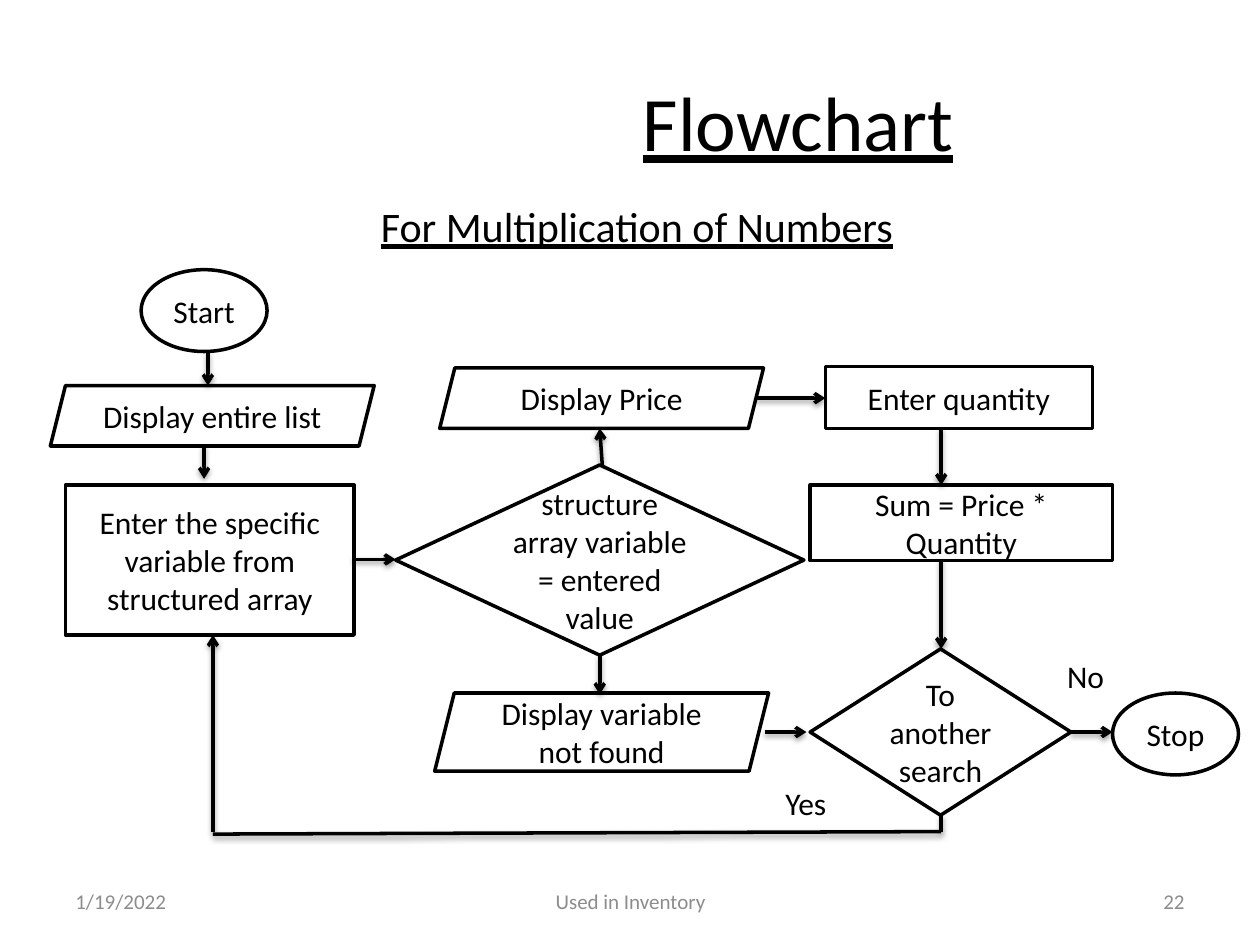
from dataclasses import dataclass

from lxml.etree import SubElement
from pptx import Presentation
from pptx.dml.color import RGBColor
from pptx.enum.shapes import MSO_CONNECTOR as Link, MSO_SHAPE as Kind
from pptx.enum.text import MSO_ANCHOR as Anchor, PP_ALIGN as Align
from pptx.oxml.ns import qn
from pptx.util import Inches, Pt


@dataclass(frozen=True)
class Theme:
    font: str = "Calibri"
    ink: str = "000000"
    paper: str = "FFFFFF"
    muted: str = "8C8C8C"
    title: int = 44
    subtitle: int = 24
    body: int = 18
    footer: int = 12
    stroke: int = 2


THEME = Theme()
COLS, ROWS = 100, 75  # square grid cells on the slide
CELL = Inches(10) / COLS

# kind, column, row, columns, rows, wording; measured from the chart's corner
STEPS = [
    (Kind.OVAL, 6.5, 7.1, 10, 6.5, "Start"),
    (Kind.PARALLELOGRAM, -0.7, 16.3, 25.7, 4.8, "Display entire list"),
    (Kind.RECTANGLE, 0.5, 24.2, 22.9, 11.9,
     "Enter the specific variable from structured array"),
    (Kind.DIAMOND, 26.7, 22.6, 32.4, 15.1,
     "structure array variable = entered value"),
    (Kind.PARALLELOGRAM, 29.8, 40.7, 26.5, 6.2, "Display variable not found"),
    (Kind.PARALLELOGRAM, 30.2, 14.9, 25.7, 4.8, "Display Price"),
    (Kind.RECTANGLE, 60.8, 14.8, 21.2, 4.9, "Enter quantity"),
    (Kind.RECTANGLE, 59.6, 24.2, 24, 6, "Sum = Price * Quantity"),
    (Kind.DIAMOND, 59.6, 37.2, 20.7, 13.2, "To another search"),
    (Kind.OVAL, 83.6, 40.7, 10, 6.5, "Stop"),
]
ANSWERS = [(77.7, 38, 7.5, 2.7, "No"), (55.5, 47.8, 7.5, 3.3, "Yes")]

# from column, row, to column, row
ARROWS = [
    (11.8, 13.6, 11.8, 16.3),  # start to list
    (11.5, 21, 11.5, 23.7),  # list to entry
    (23.3, 30.1, 26.7, 30.1),  # entry to comparison
    (42.9, 37.7, 42.9, 40.8),  # comparison to not found
    (43.1, 22.6, 42.9, 19.7),  # comparison to price
    (55.3, 17.3, 60.8, 17.3),  # price to quantity
    (70, 19.7, 70, 24.2),  # quantity to sum
    (70, 30.1, 70, 37.2),  # sum to another search
    (56, 43.8, 59.3, 43.8),  # not found to another search
    (80.3, 43.8, 83.6, 43.8),  # another search to stop
    (12.2, 51.7, 12.2, 36.1),  # return to entry
]
RETURN_PATH = [(70, 50.4, 70, 51.7), (12.2, 51.9, 70, 51.7)]


def cells(*counts):
    return [round(count * CELL) for count in counts]


def color(code):
    return RGBColor.from_string(code)


def write(holder, wording, size, ink=THEME.ink, align=Align.CENTER,
          anchor=Anchor.MIDDLE, underline=None):
    frame = holder.text_frame
    frame.word_wrap = True
    frame.vertical_anchor = anchor
    paragraph = frame.paragraphs[0]
    paragraph.alignment = align
    run = paragraph.add_run()
    run.text = wording
    run.font.name = THEME.font
    run.font.size = Pt(size)
    run.font.underline = underline
    run.font.color.rgb = color(ink)


def block(slide, kind, box, outline):
    step = slide.shapes.add_shape(kind, *cells(*box))
    step.shadow.inherit = False
    step.fill.solid()
    step.fill.fore_color.rgb = color(THEME.paper)
    step.line.color.rgb = color(outline)
    step.line.width = Pt(THEME.stroke)
    return step


def flow_line(slide, ends, arrow=True):
    link = slide.shapes.add_connector(Link.STRAIGHT, *cells(*ends))
    link.line.color.rgb = color(THEME.ink)
    link.line.width = Pt(THEME.stroke)
    if arrow:
        SubElement(link.line._ln, qn("a:tailEnd"), type="arrow")
    # Soft shadow straight below the line
    effects = SubElement(link._element.spPr, qn("a:effectLst"))
    shadow = SubElement(effects, qn("a:outerShdw"), blurRad=str(Pt(3.1)),
                        dist=str(Pt(1.6)), dir="5400000", rotWithShape="0")
    shade = SubElement(shadow, qn("a:srgbClr"), val=THEME.ink)
    SubElement(shade, qn("a:alpha"), val="38000")


def add_footer(slide, left, top, width, height):
    parts = [
        (0, 23.3, "1/19/2022", Align.LEFT),
        (29.2, 31.7, "Used in Inventory", Align.CENTER),
        (width - 23.3, 23.3, "22", Align.RIGHT),
    ]
    for offset, span, wording, align in parts:
        note = slide.shapes.add_textbox(*cells(left + offset, top, span, height))
        write(note, wording, THEME.footer, THEME.muted, align)


def add_title(slide, *box):
    title = block(slide, Kind.RECTANGLE, box, THEME.paper)
    write(title, "Flowchart", THEME.title, underline=True)


def add_flowchart(slide, left, top, width, height):
    # Backing panel with the subtitle
    panel = block(slide, Kind.RECTANGLE, (left, top, width, height), THEME.paper)
    write(panel, "For Multiplication of Numbers", THEME.subtitle,
          anchor=Anchor.TOP, underline=True)
    panel.text_frame.margin_top = cells(1.6)[0]

    # Steps and the answers beside the last decision
    for kind, col, row, cols, rows, wording in STEPS:
        step = block(slide, kind, (left + col, top + row, cols, rows), THEME.ink)
        write(step, wording, THEME.body)
    for col, row, cols, rows, wording in ANSWERS:
        answer = block(slide, Kind.RECTANGLE,
                       (left + col, top + row, cols, rows), THEME.paper)
        write(answer, wording, THEME.body)

    # Flow between steps, then the path back to the entry step
    for routes, arrow in ((ARROWS, True), (RETURN_PATH, False)):
        for x1, y1, x2, y2 in routes:
            flow_line(slide, (left + x1, top + y1, left + x2, top + y2), arrow)


def main():
    deck = Presentation()
    deck.slide_width, deck.slide_height = cells(COLS, ROWS)
    slide = deck.slides.add_slide(deck.slide_layouts[6])
    add_footer(slide, 5, 69.5, 90, 4)
    add_title(slide, 30, 3.3, 66.7, 12.5)
    add_flowchart(slide, 4.7, 14.3, 91.7, 51.7)
    deck.save("out.pptx")


if __name__ == "__main__":
    main()
